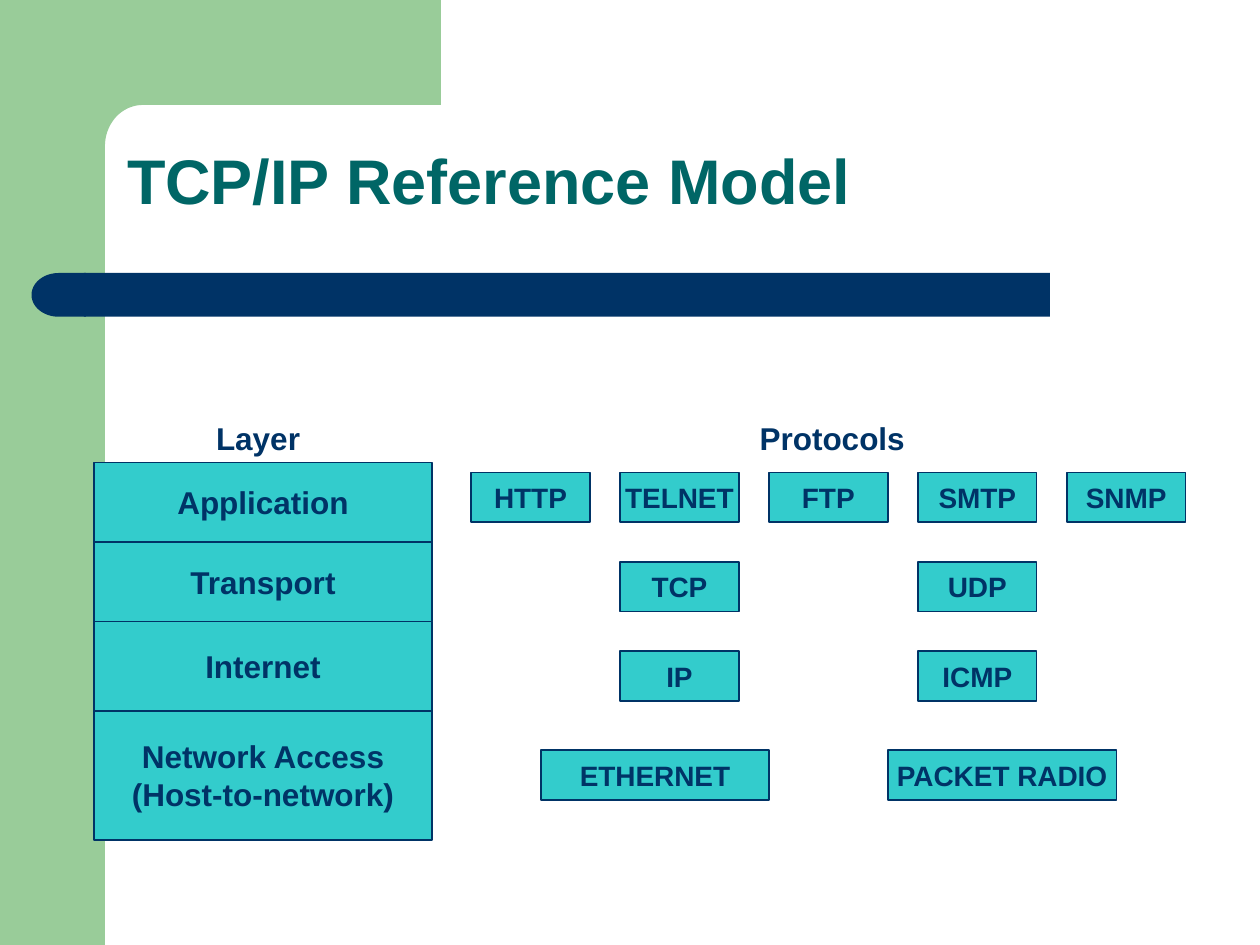
import math

from pptx import Presentation
from pptx.dml.color import RGBColor
from pptx.enum import shapes, text
from pptx.util import Pt

COLORS = {"green": "99CC99", "navy": "003366", "teal": "006666", "aqua": "33CCCC"}
FONT = "Arial"

LAYERS = [
    (["Application"], 45.4),
    (["Transport"], 45.4),
    (["Internet"], 51.1),
    (["Network Access", "(Host-to-network)"], 73.7),
]
LAYER_LEFT, LAYER_TOP, LAYER_WIDTH = 53.8, 264.3, 193

# Each row of protocols names the grid column of every box.
PROTOCOL_ROWS = [
    {0: "HTTP", 1: "TELNET", 2: "FTP", 3: "SMTP", 4: "SNMP"},
    {1: "TCP", 3: "UDP"},
    {1: "IP", 3: "ICMP"},
]
GRID_LEFT, GRID_TOP = 269.2, 270
COLUMN_STEP, ROW_STEP = 85.1, 51.1
PROTOCOL_WIDTH, PROTOCOL_HEIGHT = 67.9, 28.4
NETWORKS = [("ETHERNET", 309), ("PACKET RADIO", 507.4)]
NETWORK_TOP, NETWORK_WIDTH = 428.7, 130.6


def color(name):
    return RGBColor.from_string(COLORS[name])


def paint(shape, fill, line=None):
    shape.shadow.inherit = False
    shape.fill.solid()
    shape.fill.fore_color.rgb = color(fill)
    if line:
        shape.line.color.rgb = color(line)
        shape.line.width = Pt(1)
    else:
        shape.line.fill.background()


def add_block(slide, kind, left, top, width, height, fill, line=None):
    shape = slide.shapes.add_shape(kind, Pt(left), Pt(top), Pt(width), Pt(height))
    paint(shape, fill, line)
    return shape


def write(frame, lines, size, font_color):
    """Write lines as one paragraph with line breaks between them."""
    paragraph = frame.paragraphs[0]
    for index, line in enumerate(lines):
        if index:
            paragraph.add_line_break()
        run = paragraph.add_run()
        run.text = line
        run.font.name = FONT
        run.font.size = Pt(size)
        run.font.bold = True
        run.font.color.rgb = color(font_color)
    return paragraph


def add_box(slide, lines, left, top, width, height, size):
    shape = add_block(slide, shapes.MSO_SHAPE.RECTANGLE, left, top, width, height,
                      "aqua", "navy")
    frame = shape.text_frame
    frame.word_wrap = False
    frame.vertical_anchor = text.MSO_ANCHOR.MIDDLE
    write(frame, lines, size, "navy").alignment = text.PP_ALIGN.CENTER


def add_label(slide, label, left, top, width):
    box = slide.shapes.add_textbox(Pt(left), Pt(top), Pt(width), Pt(29))
    box.text_frame.word_wrap = True
    write(box.text_frame, [label], 18, "navy")


def add_title(slide, title):
    box = slide.shapes.add_textbox(Pt(65.5), Pt(66), Pt(612.7), Pt(78.5))
    frame = box.text_frame
    frame.word_wrap = True
    frame.vertical_anchor = text.MSO_ANCHOR.MIDDLE
    frame.margin_right = 0
    write(frame, [title], 36, "teal").line_spacing = 0.9


def add_corner(slide):
    """Draw the top band, with a rounded inner corner into the side band."""
    center_x, center_y, radius_x, radius_y = 81.6, 83.5, 21.6, 23.5
    angles = [math.radians(degrees) for degrees in range(90, 181, 5)]
    arc = [(center_x + radius_x * math.cos(angle), center_y - radius_y * math.sin(angle))
           for angle in angles]
    points = [(252, 60), *arc, (60, 92), (36, 92), (36, 0)]
    builder = slide.shapes.build_freeform(Pt(252), 0)
    builder.add_line_segments([(Pt(x), Pt(y)) for x, y in points], close=True)
    paint(builder.convert_to_shape(), "green")


def add_decoration(slide):
    kinds = shapes.MSO_SHAPE
    add_block(slide, kinds.RECTANGLE, 0, 0, 60, 540, "green")
    add_corner(slide)
    add_block(slide, kinds.RECTANGLE, 48, 156, 552, 25, "navy")
    bar_end = add_block(slide, kinds.FLOWCHART_DELAY, 18, 156, 31, 25, "navy")
    bar_end.rotation = 180


def add_layers(slide):
    add_label(slide, "Layer", 116.4, 235.8, 72)
    top = LAYER_TOP
    for lines, height in LAYERS:
        add_box(slide, lines, LAYER_LEFT, top, LAYER_WIDTH, height, 18)
        top += height


def add_protocols(slide):
    add_label(slide, "Protocols", 427, 236, 108)
    for row, protocols in enumerate(PROTOCOL_ROWS):
        for column, name in protocols.items():
            add_box(slide, [name], GRID_LEFT + column * COLUMN_STEP,
                    GRID_TOP + row * ROW_STEP, PROTOCOL_WIDTH, PROTOCOL_HEIGHT, 16)
    for name, left in NETWORKS:
        add_box(slide, [name], left, NETWORK_TOP, NETWORK_WIDTH, PROTOCOL_HEIGHT, 16)


def main():
    presentation = Presentation()
    presentation.slide_width, presentation.slide_height = Pt(720), Pt(540)
    slide = presentation.slides.add_slide(presentation.slide_layouts[6])
    add_decoration(slide)
    add_title(slide, "TCP/IP Reference Model")
    add_layers(slide)
    add_protocols(slide)
    presentation.save("out.pptx")


if __name__ == "__main__":
    main()
